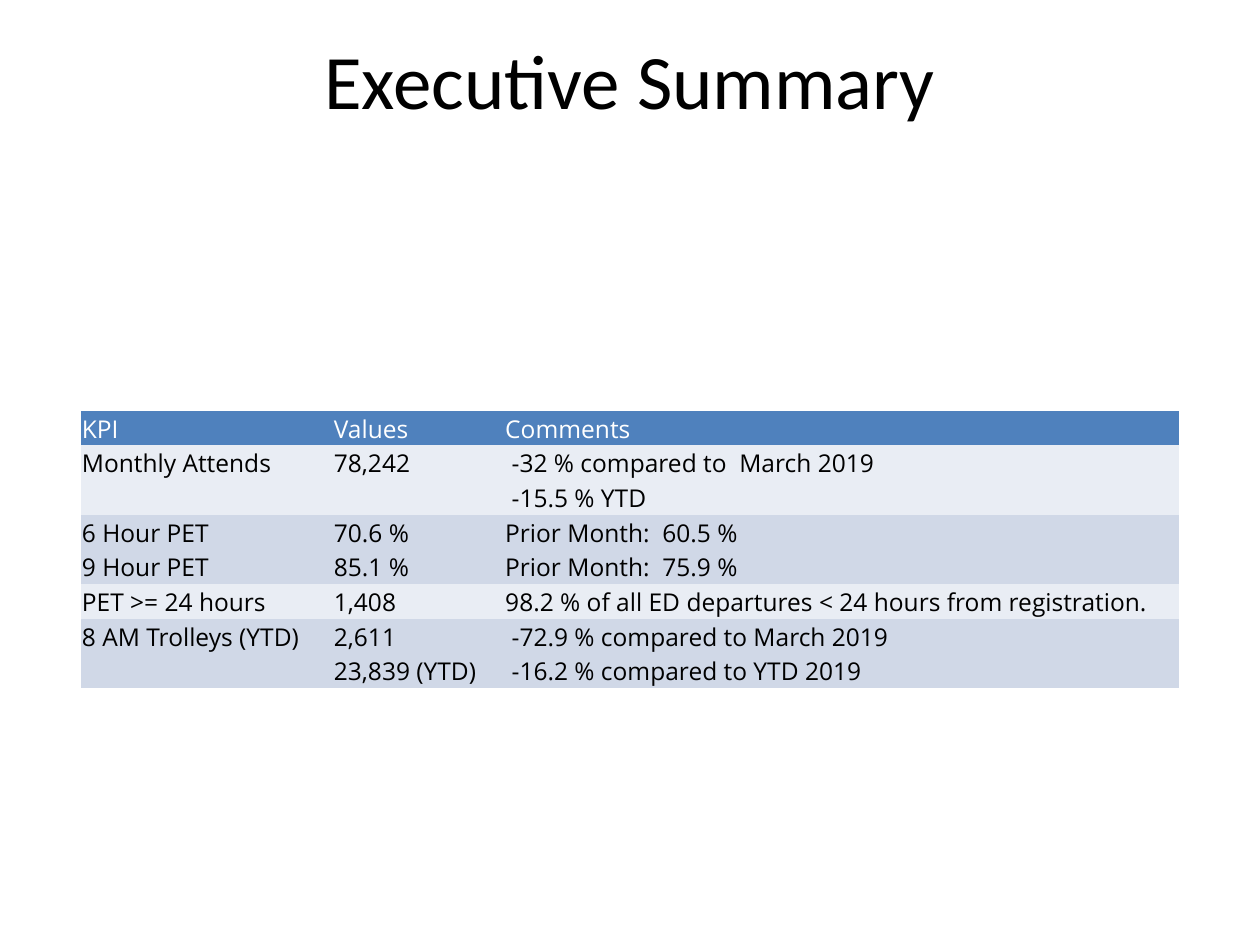
from lxml import etree
from pptx import Presentation
from pptx.dml.color import RGBColor
from pptx.enum.text import MSO_ANCHOR, PP_ALIGN
from pptx.oxml.ns import qn
from pptx.util import Inches, Pt

CENTER = PP_ALIGN.CENTER
MIDDLE = MSO_ANCHOR.MIDDLE
BOTTOM = MSO_ANCHOR.BOTTOM
TITLE_ONLY = 5
PLAIN_TABLE = "{2D5ABB26-0587-4C30-8999-92F81FD0307C}"

COLORS = {
    "text": "000000",
    "header_text": "FFFFFF",
    "header": "4F81BD",
    "light": "E9EDF4",
    "dark": "D0D8E7",
}
COLUMN_WIDTHS = [2, 1.36, 5.36]
ROW_HEIGHT = 0.24
KPI_ROWS = [
    ("header", ["KPI", "Values", "Comments"]),
    ("light", ["Monthly Attends", "78,242", " -32 % compared to  March 2019"]),
    ("light", ["", "", " -15.5 % YTD"]),
    ("dark", ["6 Hour PET", "70.6 %", "Prior Month:  60.5 %"]),
    ("dark", ["9 Hour PET", "85.1 %", "Prior Month:  75.9 %"]),
    ("light", ["PET >= 24 hours", "1,408",
               "98.2 % of all ED departures < 24 hours from registration."]),
    ("dark", ["8 AM Trolleys (YTD)", "2,611", " -72.9 % compared to March 2019"]),
    ("dark", ["", "23,839 (YTD)", " -16.2 % compared to YTD 2019"]),
]


def set_format(target, values):
    for name, value in values.items():
        setattr(target, name, value)


class SlideBuilder:
    title_font = {"name": "Calibri", "size": Pt(44), "bold": False}
    table_font = {"name": "Open Sans", "size": Pt(14), "bold": False}
    cell_format = {
        "margin_left": Inches(0.01),
        "margin_top": Inches(0.01),
        "margin_right": Inches(0.01),
        "margin_bottom": 0,
        "vertical_anchor": BOTTOM,
    }

    def __init__(self, page):
        self.page = page

    def add_span(self, para, text, font, color):
        span = para.add_run()
        span.text = text
        set_format(span.font, font)
        span.font.color.rgb = RGBColor.from_string(COLORS[color])

    def title(self, text, left, top, width, height):
        box = self.page.shapes.title
        set_format(box, {"left": Inches(left), "top": Inches(top),
                         "width": Inches(width), "height": Inches(height)})
        box.text_frame.vertical_anchor = MIDDLE
        para = box.text_frame.paragraphs[0]
        para.alignment = CENTER
        self.add_span(para, text, self.title_font, "text")

    def cell(self, cell, text, band):
        set_format(cell, self.cell_format)
        cell.fill.solid()
        cell.fill.fore_color.rgb = RGBColor.from_string(COLORS[band])
        para = cell.text_frame.paragraphs[0]
        if text:
            color = "header_text" if band == "header" else "text"
            self.add_span(para, text, self.table_font, color)
        else:
            size = str(int(self.table_font["size"].pt * 100))
            end = etree.SubElement(para._p, qn("a:endParaRPr"), sz=size)
            etree.SubElement(end, qn("a:latin"), typeface=self.table_font["name"])

    def table(self, rows, left, top):
        frame = self.page.shapes.add_table(
            len(rows), len(COLUMN_WIDTHS), Inches(left), Inches(top),
            Inches(sum(COLUMN_WIDTHS)), Inches(ROW_HEIGHT * len(rows)))
        table = frame.table
        table._tbl.tblPr.find(qn("a:tableStyleId")).text = PLAIN_TABLE
        for column, width in zip(table.columns, COLUMN_WIDTHS):
            column.width = Inches(width)
        for row, (band, texts) in zip(table.rows, rows):
            row.height = Inches(ROW_HEIGHT)
            for cell, text in zip(row.cells, texts):
                self.cell(cell, text, band)


def main():
    deck = Presentation()
    deck.slide_width = Inches(10)
    deck.slide_height = Inches(7.5)
    page = deck.slides.add_slide(deck.slide_layouts[TITLE_ONLY])
    builder = SlideBuilder(page)
    builder.title("Executive Summary", 0, 0, 10, 1.25)
    builder.table(KPI_ROWS, 0.64, 3.26)
    deck.save("out.pptx")


if __name__ == "__main__":
    main()
